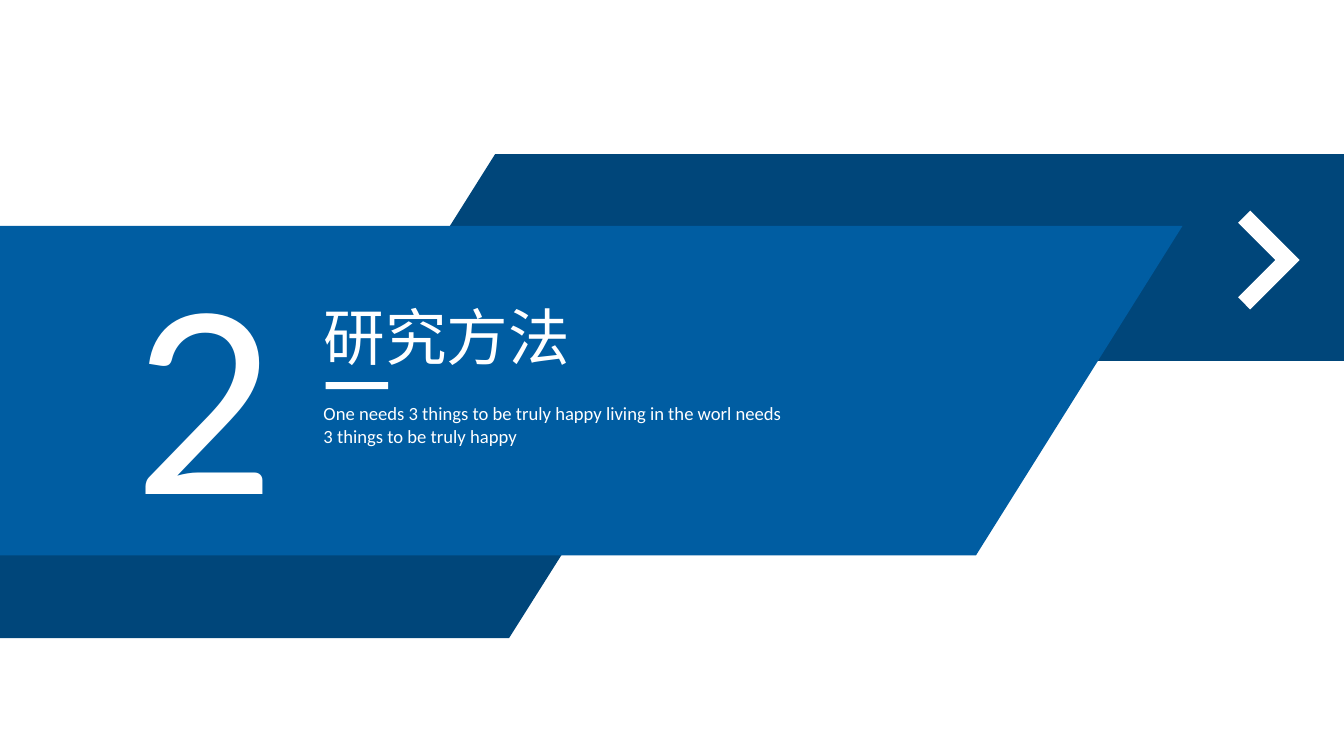
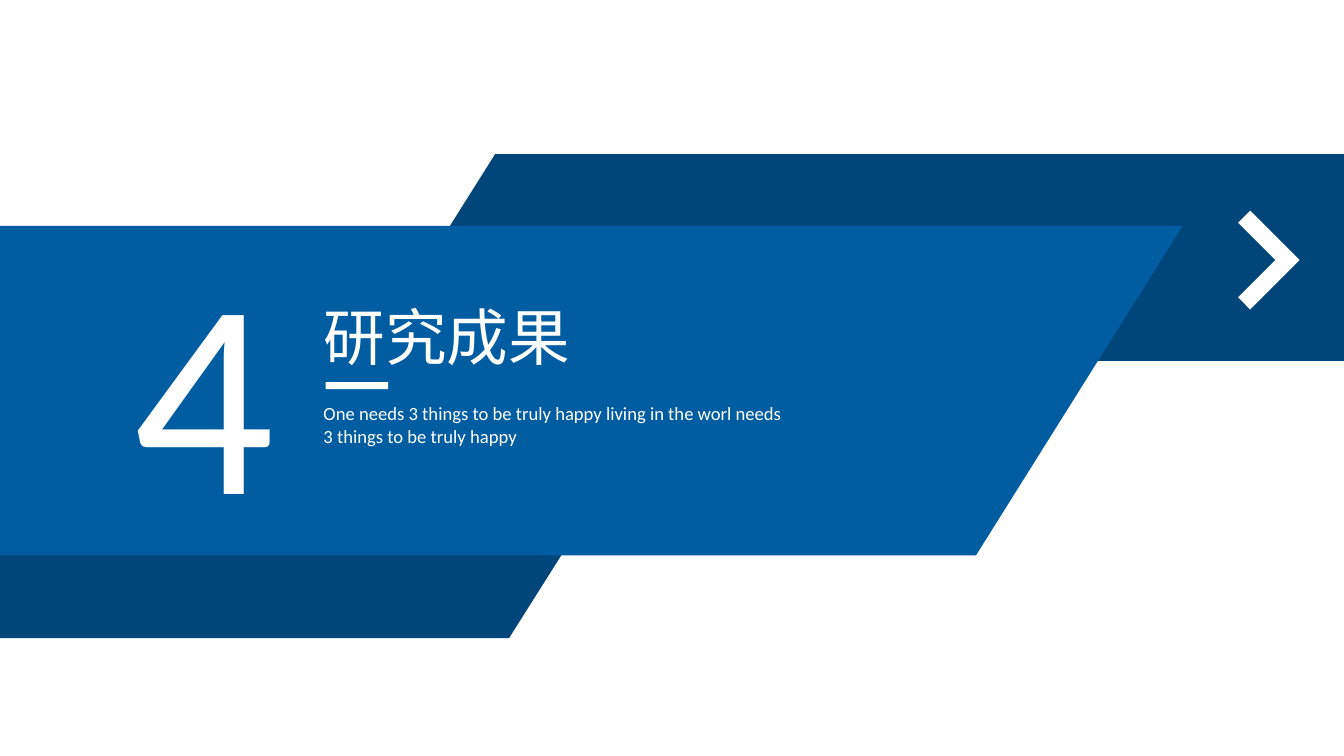
import pptx
import pptx.dml.color
import pptx.enum.shapes
import pptx.enum.text
import pptx.oxml
import pptx.oxml.ns
import pptx.util
from pptx.util import Inches

COLORS = {"navy": "00467A", "blue": "005DA2", "white": "FFFFFF"}
LATIN, CHINESE = "Calibri", "Noto Sans CJK SC"
SUBTITLE = ("One needs 3 things to be truly happy living in the worl needs "
            "3 things to be truly happy")
SECTIONS = [("2", "研究方法"), ("4", "研究成果")]

UPPER_BAND = [(13.33, 3.58), (3.62, 3.58), (4.91, 1.53), (13.33, 1.53)]
LOWER_BAND = [(0, 4.46), (6.23, 4.46), (5.05, 6.33), (0, 6.33)]
MAIN_BAND = [(0, 2.24), (11.73, 2.24), (9.68, 5.51), (0, 5.51)]
CHEVRON = [(12.89, 2.58), (12.4, 3.07), (12.28, 2.95),
           (12.65, 2.58), (12.28, 2.21), (12.4, 2.09)]


class SectionDeck:
    def __init__(self):
        self.presentation = pptx.Presentation()
        self.presentation.slide_width = Inches(13.33)
        self.presentation.slide_height = Inches(7.5)
        self.slide = None

    def new_slide(self):
        layout = self.presentation.slide_layouts.get_by_name("Title Only")
        self.slide = self.presentation.slides.add_slide(layout)

    def paint(self, shape, color):
        shape.shadow.inherit = False
        shape.fill.solid()
        shape.fill.fore_color.rgb = pptx.dml.color.RGBColor.from_string(COLORS[color])
        shape.line.fill.background()

    def polygon(self, points, color):
        corners = [(Inches(x), Inches(y)) for x, y in points]
        builder = self.slide.shapes.build_freeform(*corners[0])
        builder.add_line_segments(corners[1:], close=True)
        self.paint(builder.convert_to_shape(), color)

    def bar(self, left, top, width, height, color):
        rectangle = pptx.enum.shapes.MSO_SHAPE.RECTANGLE
        self.paint(self.slide.shapes.add_shape(
            rectangle, Inches(left), Inches(top), Inches(width), Inches(height)), color)

    def set_text(self, frame, text, size, font, align="LEFT", wrap=True):
        frame.text = text
        frame.word_wrap = wrap
        frame.auto_size = pptx.enum.text.MSO_AUTO_SIZE.NONE
        frame.vertical_anchor = pptx.enum.text.MSO_ANCHOR.TOP
        paragraph = frame.paragraphs[0]
        paragraph.alignment = pptx.enum.text.PP_ALIGN[align]
        paragraph.font.size = pptx.util.Pt(size)
        paragraph.font.name = font
        paragraph.font.color.rgb = pptx.dml.color.RGBColor.from_string(COLORS["white"])
        return paragraph

    def text(self, left, top, width, height, text, size, **style):
        box = self.slide.shapes.add_textbox(
            Inches(left), Inches(top), Inches(width), Inches(height))
        self.set_text(box.text_frame, text, size, LATIN, **style)

    def title(self, left, top, width, height, text):
        """Place the title above the bands, with its East Asian typeface."""
        title = self.slide.shapes.title
        title.left, title.top = Inches(left), Inches(top)
        title.width, title.height = Inches(width), Inches(height)
        paragraph = self.set_text(title.text_frame, text, 44, CHINESE)
        properties = paragraph._p.get_or_add_pPr().find(pptx.oxml.ns.qn("a:defRPr"))
        properties.append(pptx.oxml.parse_xml(
            f'<a:ea {pptx.oxml.ns.nsdecls("a")} typeface="{CHINESE}"/>'))
        self.slide.shapes.element.append(title.element)

    def section(self, number, heading):
        self.new_slide()
        self.polygon(UPPER_BAND, "navy")
        self.polygon(LOWER_BAND, "navy")
        self.polygon(MAIN_BAND, "blue")
        self.text(1.21, 2.09, 1.62, 3.45, number, 199, align="CENTER", wrap=False)
        self.text(3.11, 3.94, 4.82, 0.55, SUBTITLE, 13.3)
        self.title(3.11, 2.92, 2.71, 0.84, heading)
        self.bar(3.23, 3.79, 0.62, 0.07, "white")
        self.polygon(CHEVRON, "white")


def main():
    deck = SectionDeck()
    for number, heading in SECTIONS:
        deck.section(number, heading)
    deck.presentation.save("out.pptx")


if __name__ == "__main__":
    main()
